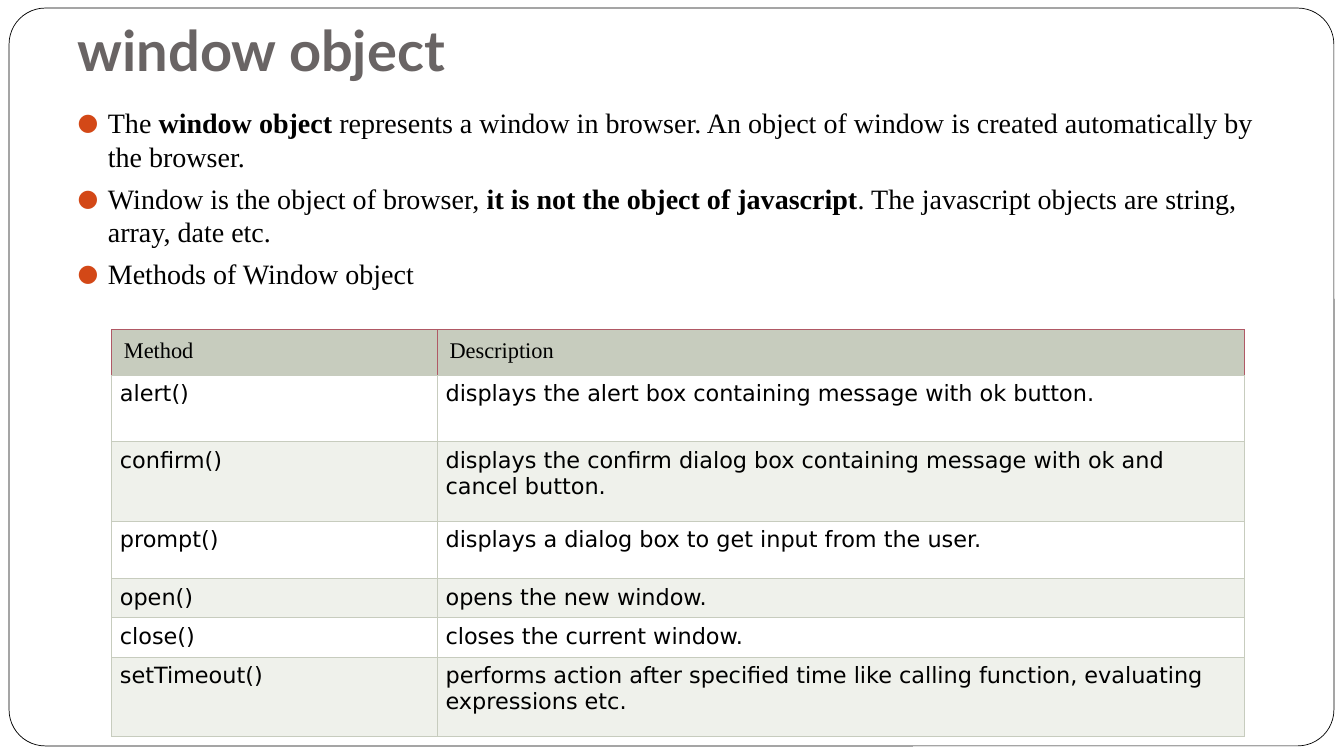
from dataclasses import dataclass
from lxml import etree
from pptx import Presentation
from pptx.dml import color as dml
from pptx.enum import shapes, text
from pptx.oxml import ns
from pptx.util import Inches, Pt


@dataclass(frozen=True)
class Theme:
    ink: str = "000000"
    paper: str = "FFFFFF"
    title: str = "696464"
    bullet: str = "D34817"
    head: str = "C7CCBE"
    band: str = "EFF1EB"
    edge: str = "B05965"
    sans: str = "Lato"
    serif: str = "Times New Roman"
    cell: str = "DejaVu Sans"
    big: float = 40
    body: float = 20
    small: float = 16
    rule: float = 0.75


@dataclass(frozen=True)
class Run:
    words: str
    bold: bool = False


@dataclass(frozen=True)
class Row:
    method: str
    about: str
    high: float


THEME = Theme()

POINTS = [
    [Run("The "), Run("window object", True),
     Run(" represents a window in browser. An object of window is created "
         "automatically by the browser.")],
    [Run("Window is the object of browser, "),
     Run("it is not the object of javascript", True),
     Run(". The javascript objects are string, array, date etc.")],
    [Run("Methods of Window object")],
]

ROWS = [
    Row("Method", "Description", 0.45),
    Row("alert()", "displays the alert box containing message with ok button.", 0.66),
    Row("confirm()", "displays the confirm dialog box containing message with "
        "ok and cancel button.", 0.79),
    Row("prompt()", "displays a dialog box to get input from the user.", 0.57),
    Row("open()", "opens the new window.", 0.39),
    Row("close()", "closes the current window.", 0.39),
    Row("setTimeout()", "performs action after specified time like calling "
        "function, evaluating expressions etc.", 0.79),
]


def rgb(code: str) -> dml.RGBColor:
    return dml.RGBColor.from_string(code)


def apply(item, values: dict) -> None:
    for key, value in values.items():
        setattr(item, key, value)


def style(font, face: str, size: float, ink: str, bold: bool = False) -> None:
    apply(font, {"name": face, "size": Pt(size), "bold": bold})
    font.color.rgb = rgb(ink)


def place(item, left: float, top: float, width: float, height: float) -> None:
    apply(item, {"left": Inches(left), "top": Inches(top),
                 "width": Inches(width), "height": Inches(height)})


def inset(item, across: float, above: float, below: float) -> None:
    apply(item, {"margin_left": Inches(across), "margin_right": Inches(across),
                 "margin_top": Inches(above), "margin_bottom": Inches(below)})


def add(parent, tag: str, **attrs: str):
    return etree.SubElement(parent, ns.qn(tag), attrs)


def dot(para) -> None:
    props = para._p.get_or_add_pPr()
    apply(para, {"space_before": Pt(0), "space_after": Pt(0)})
    props.set("marL", str(Inches(0.3)))
    props.set("indent", str(-Inches(0.3)))
    add(add(props, "a:buClr"), "a:srgbClr", val=THEME.bullet)
    add(props, "a:buSzPct", val="85000")
    add(props, "a:buFont", typeface=THEME.cell)
    add(props, "a:buChar", char="●")


def border(cell, sides: dict[str, str]) -> None:
    props = cell._tc.get_or_add_tcPr()
    for spot, (side, ink) in enumerate(sides.items()):
        line = etree.Element(ns.qn(f"a:ln{side}"), w=str(Pt(THEME.rule)))
        add(add(line, "a:solidFill"), "a:srgbClr", val=ink)
        props.insert(spot, line)


def draw_frame(slide) -> None:
    frame = slide.shapes.add_shape(
        shapes.MSO_SHAPE.ROUNDED_RECTANGLE,
        Inches(0.09), Inches(0.08), Inches(13.14), Inches(7.32))
    frame.adjustments[0] = 0.049
    frame.shadow.inherit = False
    frame.fill.solid()
    frame.fill.fore_color.rgb = rgb(THEME.paper)
    frame.line.color.rgb = rgb(THEME.ink)
    frame.line.width = Pt(0.5)
    slide.shapes._spTree.insert(2, frame._element)


def draw_title(slide) -> None:
    title = slide.shapes.title
    place(title, 0.67, 0.3, 12, 0.62)
    box = title.text_frame
    box.text = "window object"
    apply(box, {"vertical_anchor": text.MSO_ANCHOR.BOTTOM, "word_wrap": True,
                "auto_size": text.MSO_AUTO_SIZE.NONE})
    inset(box, 0.1, 0.05, 0.1)
    para = box.paragraphs[0]
    para.alignment = text.PP_ALIGN.LEFT
    style(para.runs[0].font, THEME.sans, THEME.big, THEME.title, True)


def draw_body(slide) -> None:
    body = slide.placeholders[1]
    place(body, 0.67, 1, 12, 5.7)
    box = body.text_frame
    apply(box, {"word_wrap": True, "auto_size": text.MSO_AUTO_SIZE.NONE})
    inset(box, 0.1, 0.05, 0.05)
    for spot, point in enumerate(POINTS):
        para = box.add_paragraph() if spot else box.paragraphs[0]
        dot(para)
        if spot:
            para.space_before = Pt(5.8)
        for part in point:
            run = para.add_run()
            run.text = part.words
            style(run.font, THEME.serif, THEME.body, THEME.ink, part.bold)


def draw_table(slide) -> None:
    grid = slide.shapes.add_table(
        len(ROWS), 2, Inches(1.11), Inches(3.27), Inches(11.23),
        Inches(sum(row.high for row in ROWS))).table
    for col, wide in zip(grid.columns, (3.23, 8)):
        col.width = Inches(wide)
    for num, row in enumerate(ROWS):
        grid.rows[num].height = Inches(row.high)
        top = num == 0
        fill = THEME.head if top else (THEME.band, THEME.paper)[num % 2]
        edge = THEME.edge if top else THEME.head
        for col, words in enumerate((row.method, row.about)):
            cell = grid.cell(num, col)
            cell.text = words
            inset(cell, *((0.12, 0.09, 0.09) if top else (0.08, 0.06, 0.06)))
            cell.fill.solid()
            cell.fill.fore_color.rgb = rgb(fill)
            border(cell, {"L": edge, "R": edge, "T": edge, "B": THEME.head})
            style(cell.text_frame.paragraphs[0].runs[0].font,
                  THEME.serif if top else THEME.cell, THEME.small, THEME.ink)


def main() -> None:
    deck = Presentation()
    apply(deck, {"slide_width": Inches(13.33), "slide_height": Inches(7.5)})
    slide = deck.slides.add_slide(deck.slide_layouts[1])
    draw_frame(slide)
    draw_title(slide)
    draw_body(slide)
    draw_table(slide)
    deck.save("out.pptx")


if __name__ == "__main__":
    main()
